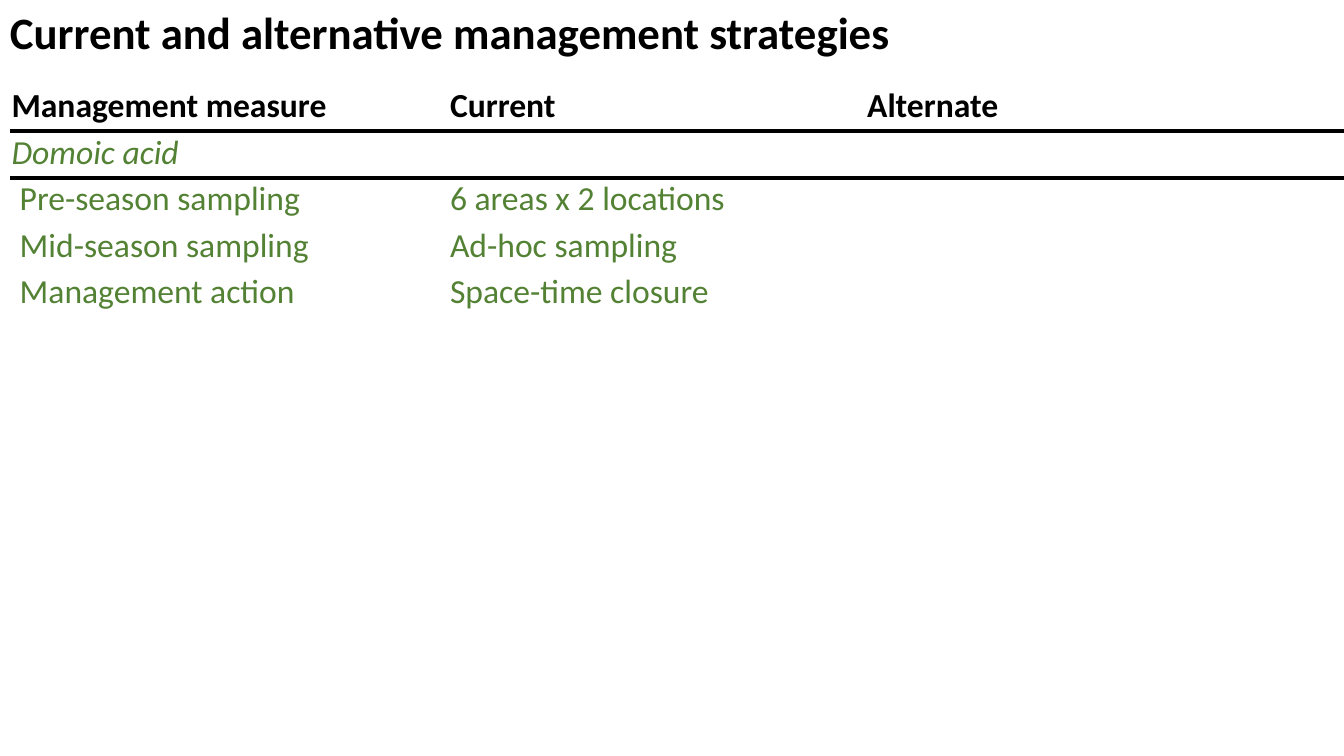
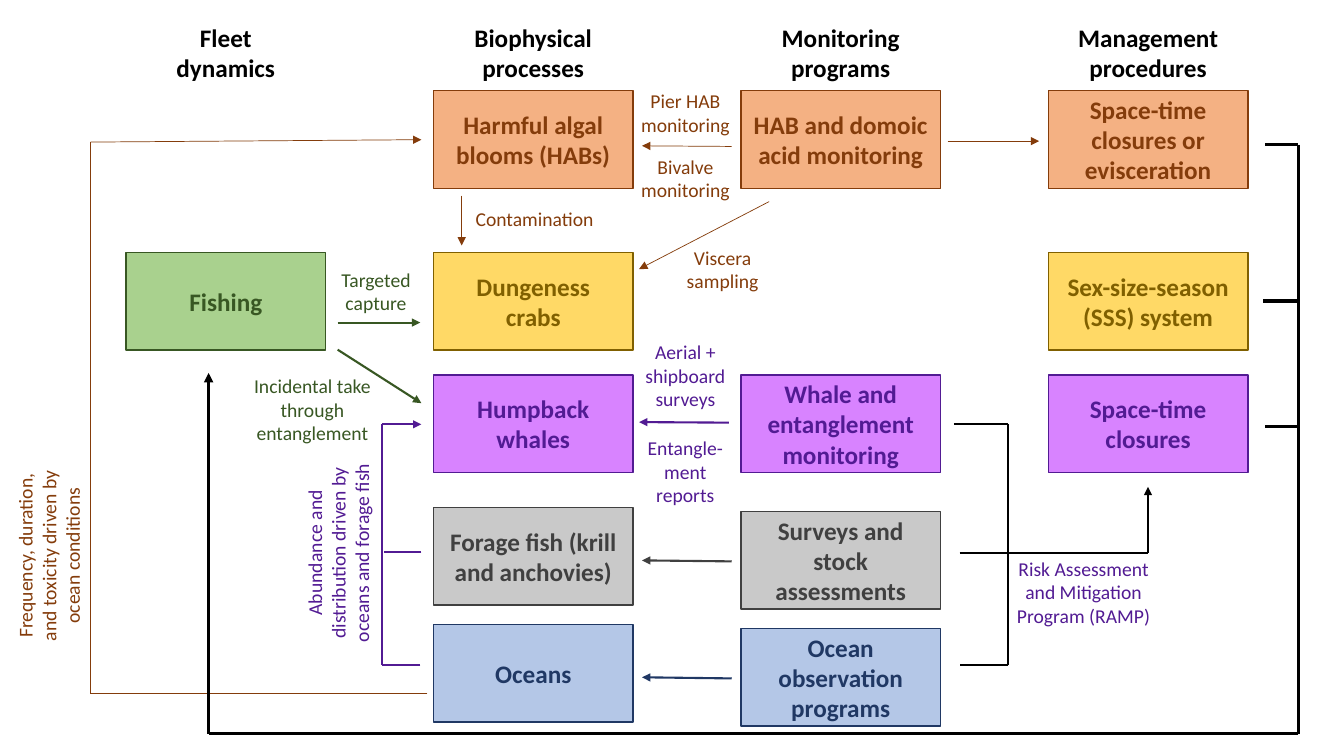
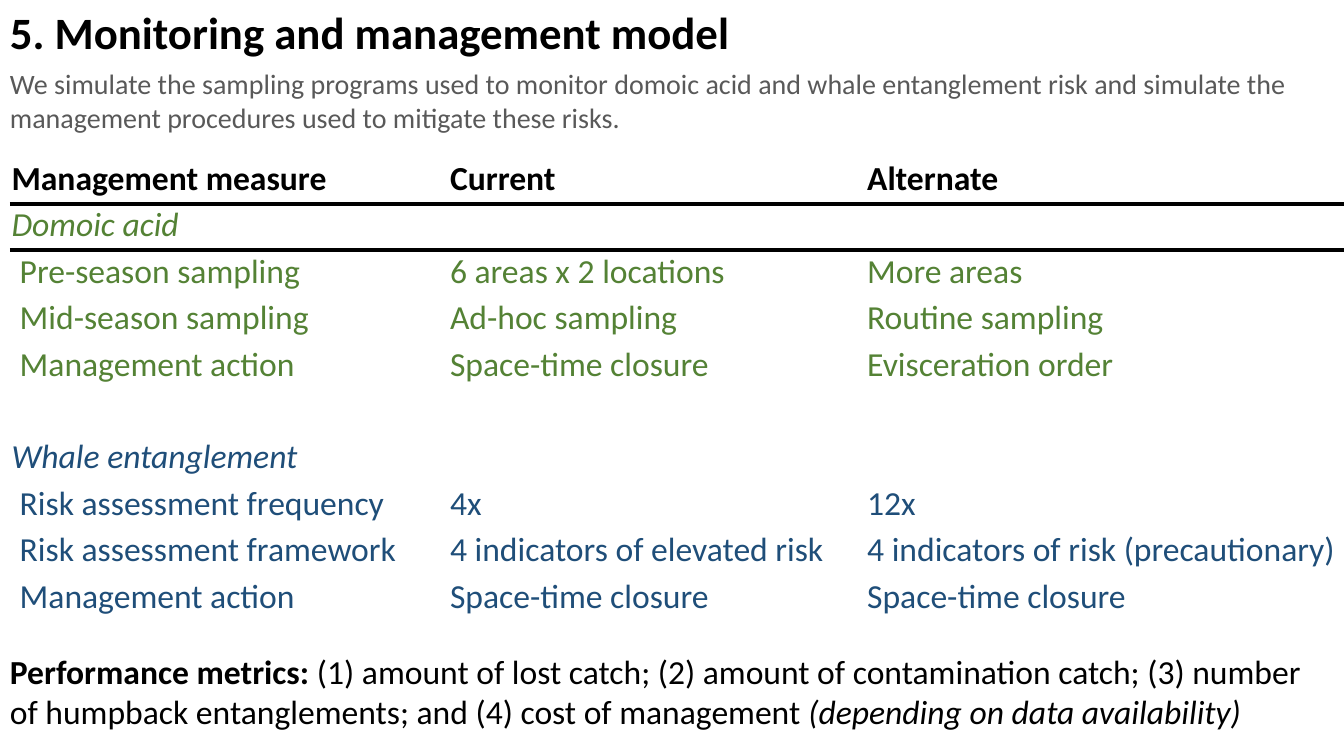
import itertools

import lxml.etree
import pptx
import pptx.dml.color
import pptx.enum.shapes
import pptx.enum.text
import pptx.oxml.ns
import pptx.util

Pt = pptx.util.Pt
ALIGN = pptx.enum.text.PP_ALIGN
qn = pptx.oxml.ns.qn

FONT = "Calibri"
COLOURS = {
    "ink": "000000",
    "muted": "595959",
    "acid": "548235",
    "entanglement": "1F4E79",
    "algae": "843C0B",
    "algae_fill": "F4B183",
    "crab": "806000",
    "crab_fill": "FFD966",
    "whale": "521B93",
    "whale_fill": "D883FF",
    "forage": "404040",
    "forage_fill": "C9C9C9",
    "ocean": "203864",
    "ocean_fill": "B4C7E7",
    "fleet": "385723",
    "fleet_fill": "A9D18E",
}

PAGE = (0, 0, 960, 540)
ROW_HEIGHT = 33.2
COLUMN_WIDTHS = (313.2, 298, 342)
CARD_WIDTH, CARD_HEIGHT = 142.6, 69.8
LANE_LEFT, LANE_PITCH = 90, 219.6
HEADING_TOP, HEADING_INSET = 12.4, 11.2

HEADER = ("Management measure", "Current", "Alternate")
CURRENT_ROWS = [
    ("ink", HEADER),
    ("acid", ("Domoic acid",)),
    ("acid", ("Pre-season sampling", "6 areas x 2 locations")),
    ("acid", ("Mid-season sampling", "Ad-hoc sampling")),
    ("acid", ("Management action", "Space-time closure")),
]
ALTERNATES = ("More areas", "Routine sampling", "Evisceration order")
FULL_ROWS = CURRENT_ROWS[:2] + [
    (colour, cells + (alternate,))
    for (colour, cells), alternate in zip(CURRENT_ROWS[2:], ALTERNATES)
] + [
    ("ink", ()),
    ("entanglement", ("Whale entanglement",)),
    ("entanglement", ("Risk assessment frequency", "4x", "12x")),
    ("entanglement", ("Risk assessment framework", "4 indicators of elevated risk",
                      "4 indicators of risk (precautionary)")),
    ("entanglement", ("Management action", "Space-time closure", "Space-time closure")),
]

LANES = [
    {
        "heading": "Fleet dynamics",
        "cards": [(180.3, "fleet", "Fishing")],
        "notes": [
            (82.8, 263.5, 100.8, 3, 0, "fleet", "Incidental take through entanglement"),
            (128.2, 187.5, 100.8, 2, 0, "fleet", "Targeted capture"),
            (80, 365.8, 143.3, 3, 270, "whale",
             "Abundance and distribution driven by oceans and forage fish"),
            (-126.7, 367.9, 143.3, 3, 270, "algae",
             "Frequency, duration, and toxicity driven by ocean conditions"),
        ],
    },
    {
        "heading": "Biophysical processes",
        "cards": [
            (64.8, "algae", "Harmful algal blooms (HABs)"),
            (180.3, "crab", "Dungeness\ncrabs"),
            (267.8, "whale", "Humpback whales"),
            (362.5, "forage", "Forage fish (krill and anchovies)"),
            (446, "ocean", "Oceans"),
        ],
        "notes": [
            (19.8, 144, 105, 1, 0, "algae", "Contamination"),
            (140.4, 60.1, 79.2, 2, 0, "algae", "Pier HAB monitoring"),
            (140.4, 106.9, 79.2, 2, 0, "algae", "Bivalve monitoring"),
            (167, 171.8, 79.2, 2, 0, "algae", "Viscera sampling"),
            (140.4, 239.4, 79.2, 3, 0, "whale", "Aerial + shipboard surveys"),
            (131, 307.9, 97.9, 3, 0, "whale", "Entangle-ment\nreports"),
        ],
    },
    {
        "heading": "Monitoring programs",
        "cards": [
            (64.8, "algae", "HAB and domoic acid monitoring"),
            (267.8, "whale", "Whale and entanglement monitoring"),
            (365.3, "forage", "Surveys and stock assessments"),
            (448.9, "ocean", "Ocean observation programs"),
        ],
        "notes": [
            (186.5, 394.1, 116.6, 3, 0, "whale",
             "Risk Assessment and Mitigation Program (RAMP)"),
        ],
    },
    {
        "heading": "Management procedures",
        "cards": [
            (64.8, "algae", "Space-time closures or evisceration"),
            (180.3, "crab", "Sex-size-season (SSS) system"),
            (267.8, "whale", "Space-time closures"),
        ],
        "notes": [],
    },
]

ROUTES = [
    ("fleet", 1.5, True, [(241.2, 249.8), (301, 288)]),
    ("fleet", 1.5, True, [(241.2, 230.4), (300.2, 230.4)]),
    ("algae", 0.5, True, [(329.8, 139.7), (329.8, 175.3)]),
    ("algae", 0.5, True, [(549.4, 144), (456.5, 192.2)]),
    ("algae", 0.5, True, [(522.7, 104.6), (458.6, 104.2)]),
    ("algae", 0.5, True, [(676.8, 100.8), (742.3, 100.8)]),
    ("algae", 0.5, True, [(305.3, 495.4), (64.8, 495.4), (64.8, 101.5), (301, 99.8)]),
    ("whale", 1.5, True, [(520.6, 301.9), (456.5, 301.5)]),
    ("whale", 1.5, True, [(300.2, 475), (273, 475), (273, 303.1), (301, 303.1)]),
    ("whale", 1.5, False, [(301, 394.6), (274, 394.6)]),
    ("forage", 1.5, True, [(522.7, 401), (458.6, 400.3)]),
    ("ocean", 1.5, True, [(522.7, 484.6), (458.6, 483.8)]),
    ("ink", 1.5, True, [(685.4, 395.3), (820, 395.3), (820, 347.8)]),
    ("ink", 1.5, False, [(681.4, 302.7), (720.3, 302.7), (720.3, 474.8), (685.4, 474.8)]),
    ("ink", 2.25, True, [(903.6, 103.4), (927.4, 103.4), (927.4, 215), (927.4, 524.2),
                         (149, 524.2), (149, 266.4)]),
    ("ink", 2.25, False, [(902.2, 215), (927.4, 215)]),
    ("ink", 2.25, False, [(903.6, 304.6), (927.4, 304.6)]),
]


def rgb(name):
    return pptx.dml.color.RGBColor.from_string(COLOURS[name])


def points(box):
    return [Pt(length) for length in box]


def apply(target, formats):
    for name, value in formats.items():
        setattr(target, name, value)


def add_span(para, text, size, colour="ink", **formats):
    span = para.add_run()
    span.text = text
    apply(span.font, {"name": FONT, "size": Pt(size), **formats})
    span.font.color.rgb = rgb(colour)


def write(frame, text, size, colour="ink", align=ALIGN.LEFT, **formats):
    for index, line in enumerate(text.split("\n")):
        para = frame.add_paragraph() if index else frame.paragraphs[0]
        para.alignment = align
        add_span(para, line, size, colour, **formats)


def text_frame(page, box, wrap=True, rotation=0):
    holder = page.shapes.add_textbox(*points(box))
    holder.rotation = rotation
    apply(holder.text_frame, {
        "word_wrap": wrap,
        "auto_size": pptx.enum.text.MSO_AUTO_SIZE.SHAPE_TO_FIT_TEXT,
    })
    return holder.text_frame


def page_title(page, box, text):
    write(text_frame(page, box, wrap=False), text, 32, bold=True)


def rule_cell(cell, side):
    line = lxml.etree.Element(qn("a:" + side), w=str(Pt(3)))
    fill = lxml.etree.SubElement(line, qn("a:solidFill"))
    lxml.etree.SubElement(fill, qn("a:srgbClr"), val=COLOURS["ink"])
    cell._tc.get_or_add_tcPr().insert(0, line)


def measures_table(page, box, rows, row_count=10):
    grid = page.shapes.add_table(row_count, len(COLUMN_WIDTHS), *points(box)).table
    apply(grid, {"first_row": False, "horz_banding": False})
    for column, width in zip(grid.columns, COLUMN_WIDTHS):
        column.width = Pt(width)
    rules = {0: "lnB", 1: "lnT"}
    for row_index, row in enumerate(grid.rows):
        row.height = Pt(ROW_HEIGHT)
        colour, texts = rows[row_index] if row_index < len(rows) else ("ink", ())
        for column_index, cell in enumerate(row.cells):
            indented = column_index == 0 and len(texts) > 1 and row_index > 0
            apply(cell, {
                "margin_left": Pt(6.6 if indented else 0.75),
                "margin_top": Pt(0.75),
                "margin_right": Pt(0.75),
                "margin_bottom": 0,
            })
            cell.fill.background()
            if row_index in rules:
                rule_cell(cell, rules[row_index])
            if column_index < len(texts):
                write(cell.text_frame, texts[column_index], 24, colour,
                      bold=row_index == 0, italic=len(texts) == 1)


def card(page, box, kind, text):
    shape = page.shapes.add_shape(pptx.enum.shapes.MSO_SHAPE.RECTANGLE, *points(box))
    shape.shadow.inherit = False
    shape.fill.solid()
    shape.fill.fore_color.rgb = rgb(kind + "_fill")
    shape.line.color.rgb = rgb(kind)
    shape.line.width = Pt(1)
    apply(shape.text_frame, {
        "word_wrap": True,
        "vertical_anchor": pptx.enum.text.MSO_ANCHOR.MIDDLE,
    })
    write(shape.text_frame, text, 18, kind, ALIGN.CENTER, bold=True)


def lane(page, box, content):
    left, top, width, height = box
    heading_box = (left + HEADING_INSET, top + HEADING_TOP, width - 2 * HEADING_INSET, 51)
    write(text_frame(page, heading_box), content["heading"], 18,
          align=ALIGN.CENTER, bold=True)
    for offset, kind, text in content["cards"]:
        card(page, (left, top + offset, width, CARD_HEIGHT), kind, text)
    for across, down, note_width, lines, rotation, colour, text in content["notes"]:
        note_box = (left + across, top + down, note_width, 7.2 + 17 * lines)
        write(text_frame(page, note_box, rotation=rotation), text, 14, colour, ALIGN.CENTER)


def route(page, box, colour, width, arrow, stops):
    left, top = box[:2]
    for start, end in itertools.pairwise(stops):
        ends = points((left + start[0], top + start[1], left + end[0], top + end[1]))
        line = page.shapes.add_connector(pptx.enum.shapes.MSO_CONNECTOR.STRAIGHT, *ends)
        line.line.color.rgb = rgb(colour)
        line.line.width = Pt(width)
        lxml.etree.SubElement(line._element.spPr, qn("a:effectLst"))
        if arrow and end == stops[-1]:
            outline = line.line._get_or_add_ln()
            lxml.etree.SubElement(outline, qn("a:tailEnd"), type="triangle")


def flow_diagram(page, box):
    left, top, width, height = box
    for index, content in enumerate(LANES):
        lane_left = left + LANE_LEFT + index * LANE_PITCH
        lane(page, (lane_left, top, CARD_WIDTH, height), content)
    for colour, weight, arrow, stops in ROUTES:
        route(page, box, colour, weight, arrow, stops)


def introduction(page, box):
    write(text_frame(page, box),
          "We simulate the sampling programs used to monitor domoic acid and whale "
          "entanglement risk and simulate the management procedures used to mitigate "
          "these risks.", 20, "muted")


def performance_metrics(page, box):
    para = text_frame(page, box).paragraphs[0]
    add_span(para, "Performance metrics: ", 24, bold=True)
    add_span(para, "(1) amount of lost catch; (2) amount of contamination catch; "
                   "(3) number of humpback entanglements; and (4) cost of management ", 24)
    add_span(para, "(depending on data availability)", 24, italic=True)


def main():
    deck = pptx.Presentation()
    apply(deck, {"slide_width": Pt(PAGE[2]), "slide_height": Pt(PAGE[3])})
    strategies, diagram, model = [
        deck.slides.add_slide(deck.slide_layouts[6]) for _ in range(3)
    ]
    table_size = (sum(COLUMN_WIDTHS), 10 * ROW_HEIGHT)

    page_title(strategies, (0, 0, 648.7, 46), "Current and alternative management strategies")
    measures_table(strategies, (7.5, 60.6, *table_size), CURRENT_ROWS)

    flow_diagram(diagram, PAGE)

    page_title(model, (0, 0, 532.8, 46), "5. Monitoring and management model")
    measures_table(model, (7.5, 112.3, *table_size), FULL_ROWS)
    performance_metrics(model, (0, 461.2, PAGE[2], 65.4))
    introduction(model, (0, 44, PAGE[2], 55.7))

    deck.save("out.pptx")


if __name__ == "__main__":
    main()
